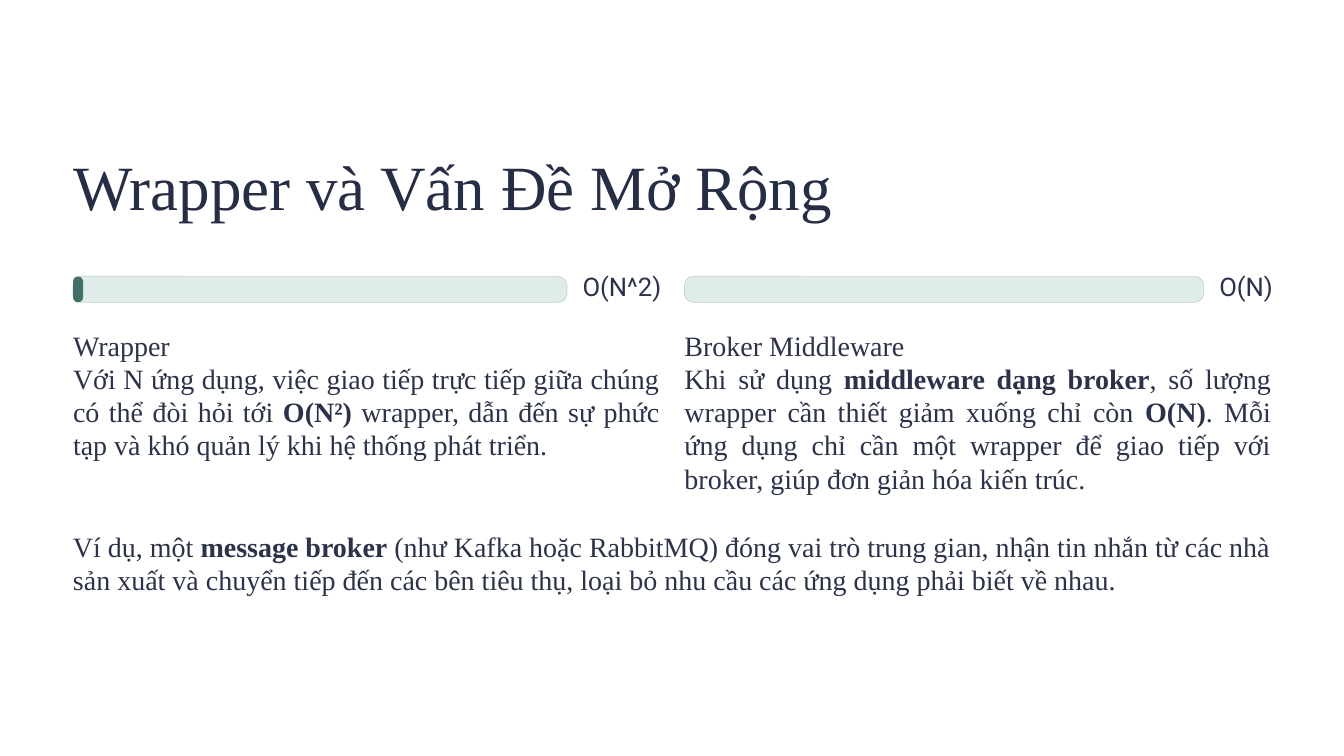
from dataclasses import dataclass

from pptx import Presentation
from pptx.dml.color import RGBColor
from pptx.enum.shapes import MSO_SHAPE
from pptx.enum.text import MSO_ANCHOR, MSO_AUTO_SIZE, PP_ALIGN
from pptx.slide import Slide
from pptx.text.text import TextFrame
from pptx.util import Pt

NAVY = RGBColor(0x27, 0x2D, 0x45)
INK = RGBColor(0x2C, 0x32, 0x49)
MINT = RGBColor(0xDF, 0xEC, 0xE9)
EDGE = RGBColor(0xC5, 0xD2, 0xCF)
GREEN = RGBColor(0x43, 0x70, 0x66)

LEFT, WIDE = 62.6, 1026.7
COL = 502.6
BAR_TOP, BAR_TALL = 236.9, 22.3
GAP = 13.4  # between a bar and its label
FRAME = dict(margin_left=0, margin_top=0, margin_right=0, margin_bottom=0,
             vertical_anchor=MSO_ANCHOR.TOP, auto_size=MSO_AUTO_SIZE.NONE)


@dataclass
class Style:
    size: float
    line: float
    face: str
    color: RGBColor
    align: PP_ALIGN = PP_ALIGN.LEFT
    wrap: bool = True


@dataclass
class Column:
    left: float
    bar: float
    label: str
    tall: float
    head: str
    body: str
    done: float = 0


HEAD = Style(54, 55.5, "Times New Roman", NAVY)
LABEL = Style(22, 22, "Roboto", INK, wrap=False)
BODY = Style(24, 28.5, "Times New Roman", INK, PP_ALIGN.JUSTIFY)
NOTE = Style(24, 28.5, "Times New Roman", INK)

# Asterisks enclose bold words
COLUMNS = [
    Column(LEFT, 423.4, "O(N^2)", 124.6, "Wrapper",
           "Với N ứng dụng, việc giao tiếp trực tiếp giữa chúng có thể đòi hỏi "
           "tới *O(N²)* wrapper, dẫn đến sự phức tạp và khó quản lý khi hệ "
           "thống phát triển.", done=8.6),
    Column(LEFT + WIDE - COL, 445, "O(N)", 152.6, "Broker Middleware",
           "Khi sử dụng *middleware dạng broker*, số lượng wrapper cần thiết "
           "giảm xuống chỉ còn *O(N)*. Mỗi ứng dụng chỉ cần một wrapper để "
           "giao tiếp với broker, giúp đơn giản hóa kiến trúc."),
]
EXAMPLE = ("Ví dụ, một *message broker* (như Kafka hoặc RabbitMQ) đóng vai trò "
           "trung gian, nhận tin nhắn từ các nhà sản xuất và chuyển tiếp đến "
           "các bên tiêu thụ, loại bỏ nhu cầu các ứng dụng phải biết về nhau.")


def write(frame: TextFrame, style: Style, *lines: str) -> None:
    for name, value in FRAME.items():
        setattr(frame, name, value)
    frame.word_wrap = style.wrap
    for i, line in enumerate(lines):
        para = frame.add_paragraph() if i else frame.paragraphs[0]
        para.alignment = style.align
        para.line_spacing = Pt(style.line)
        for j, words in enumerate(line.split("*")):
            run = para.add_run()
            run.text = words
            form = dict(size=Pt(style.size), name=style.face, bold=j % 2 == 1)
            for name, value in form.items():
                setattr(run.font, name, value)
            run.font.color.rgb = style.color


def add_text(slide: Slide, left: float, top: float, width: float,
             tall: float, style: Style, *lines: str) -> None:
    box = slide.shapes.add_textbox(Pt(left), Pt(top), Pt(width), Pt(tall))
    write(box.text_frame, style, *lines)


def add_bar(slide: Slide, left: float, width: float, fill: RGBColor,
            curve: float, edge: RGBColor | None = None) -> None:
    bar = slide.shapes.add_shape(MSO_SHAPE.ROUNDED_RECTANGLE, Pt(left),
                                 Pt(BAR_TOP), Pt(width), Pt(BAR_TALL))
    bar.shadow.inherit = False
    bar.adjustments[0] = curve
    bar.fill.solid()
    bar.fill.fore_color.rgb = fill
    if edge is None:
        bar.line.fill.background()
    else:
        bar.line.color.rgb = edge
        bar.line.width = Pt(0.6)


def add_column(slide: Slide, col: Column) -> None:
    add_bar(slide, col.left, col.bar, MINT, 0.34, EDGE)
    if col.done:
        add_bar(slide, col.left, col.done, GREEN, 0.5)
    start = col.bar + GAP
    add_text(slide, col.left + start, BAR_TOP, COL - start, BAR_TALL,
             LABEL, col.label)
    add_text(slide, col.left, 281.5, COL, col.tall, BODY, col.head, col.body)


def main() -> None:
    deck = Presentation()
    deck.slide_width, deck.slide_height = Pt(1152), Pt(648)
    slide = deck.slides.add_slide(deck.slide_layouts[5])

    # Title, wide enough to stay on one line
    title = slide.shapes.title
    place = dict(left=LEFT, top=136.1, width=700, height=56.2)
    for name, value in place.items():
        setattr(title, name, Pt(value))
    write(title.text_frame, HEAD, "Wrapper và Vấn Đề Mở Rộng")

    # Two approaches compared
    for col in COLUMNS:
        add_column(slide, col)

    # Example
    add_text(slide, LEFT, 454.3, WIDE, 56.9, NOTE, EXAMPLE)
    deck.save("out.pptx")


if __name__ == "__main__":
    main()
